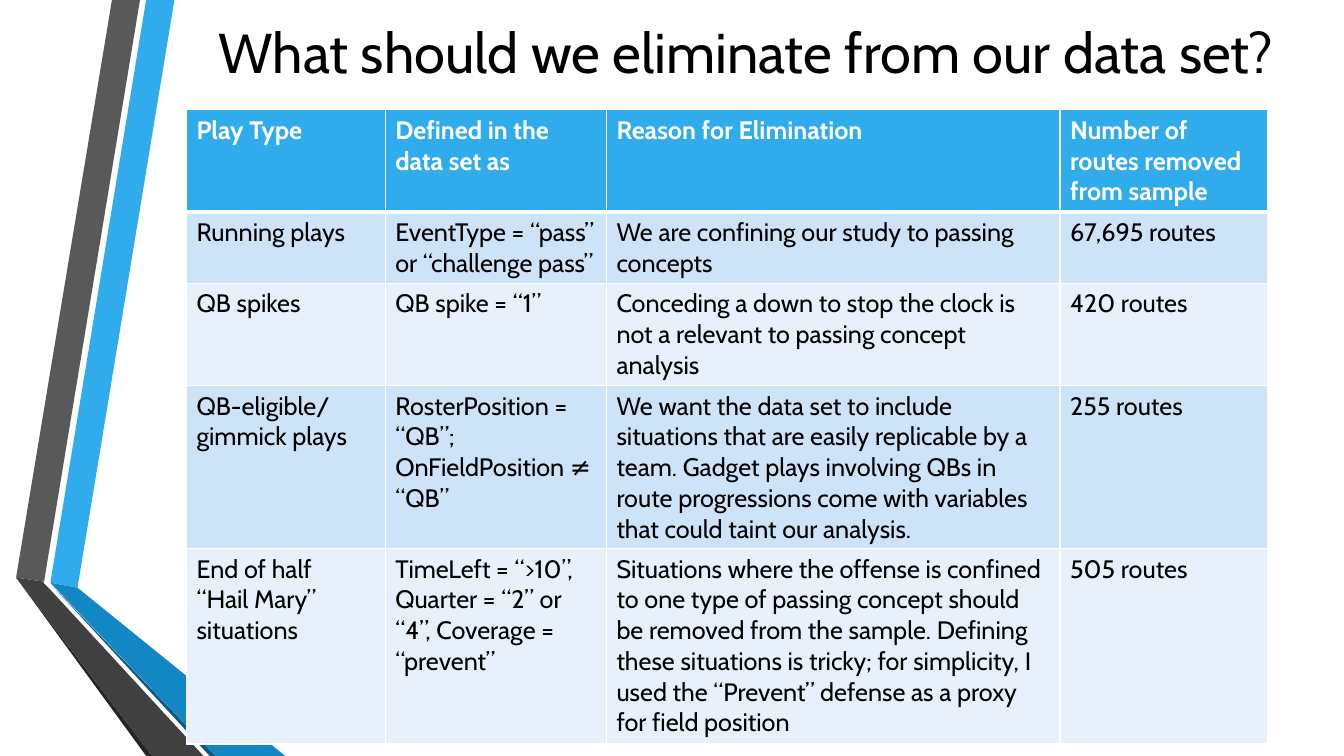
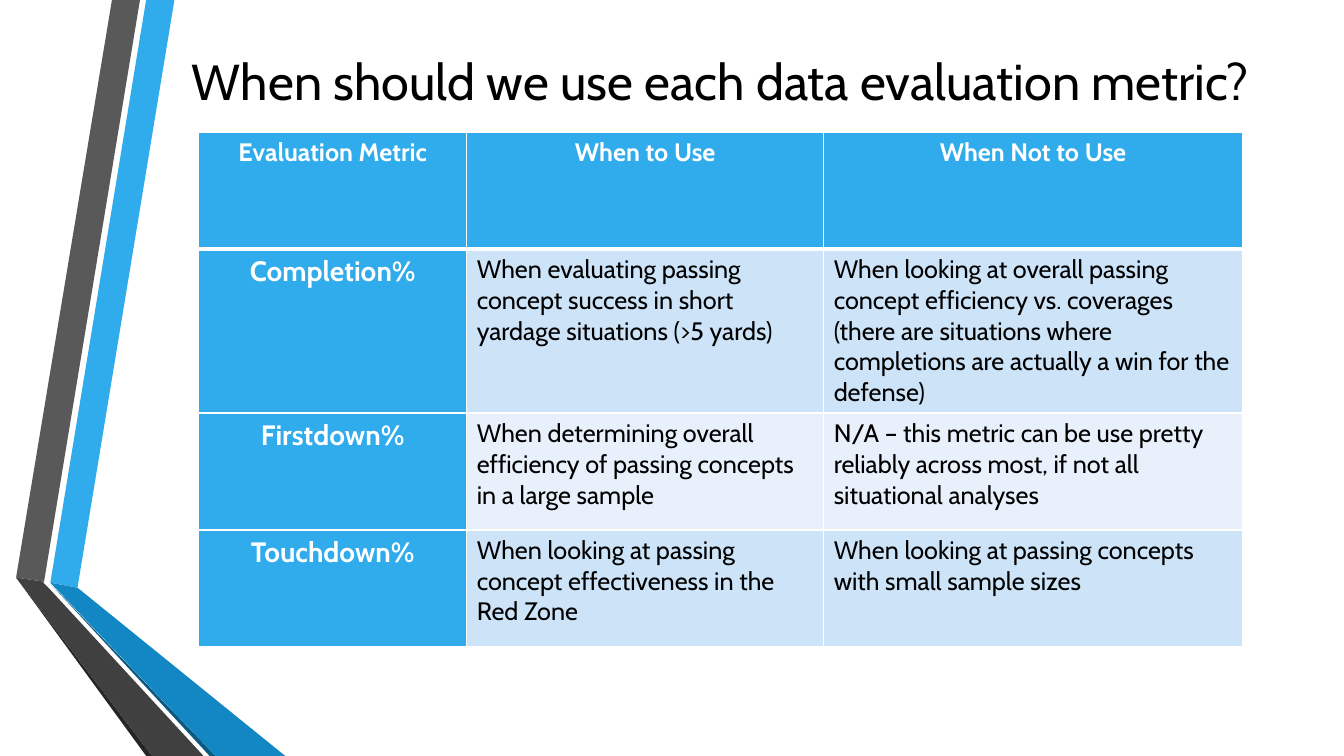
from lxml import etree
from pptx import Presentation
from pptx import util as u
from pptx.dml.color import RGBColor
from pptx.enum import text
from pptx.oxml import ns

# Shared style
COLORS = {
    "blue": "30ACEC", "deep_blue": "1287C3", "navy": "0C5A82",
    "gray": "595959", "dark_gray": "404040", "charcoal": "262626",
    "band_dark": "CDE3F8", "band_light": "E8F1FB",
    "white": "FFFFFF", "black": "000000",
}
FONT = "Cabin"
RIBBONS = [
    ("blue", [(36, 416.2), (55.4, 419.8), (124.6, 0), (104.4, 0)]),
    ("gray", [(100, 0), (80, 0), (11.5, 412.6), (31.5, 415.5)]),
    ("charcoal", [(11.5, 412.6), (104.4, 540), (108.7, 540)]),
    ("navy", [(36, 416.9), (149.8, 540), (154.1, 540)]),
    ("deep_blue", [(36, 416.2), (154.1, 540), (203.8, 540), (55.4, 419.8)]),
    ("dark_gray", [(145.4, 540), (34.6, 419.8), (31, 416.2), (31.5, 415.5),
                   (11.5, 412.6), (108.7, 540)]),
]


class Deck:
    def __init__(self):
        self.prs = Presentation()
        self.prs.slide_width, self.prs.slide_height = u.Pt(960), u.Pt(540)
        self.slide = None

    def rgb(self, color):
        return RGBColor.from_string(COLORS[color])

    def new_slide(self):
        self.slide = self.prs.slides.add_slide(self.prs.slide_layouts[6])
        for color, points in RIBBONS:
            self.ribbon(color, points)

    def ribbon(self, color, points):
        start, *rest = [(u.Pt(x), u.Pt(y)) for x, y in points]
        builder = self.slide.shapes.build_freeform(*start)
        builder.add_line_segments(rest, close=True)
        outline = builder.convert_to_shape()
        outline.shadow.inherit = False
        outline.fill.solid()
        outline.fill.fore_color.rgb = self.rgb(color)
        outline.line.fill.background()

    def set_words(self, frame, words, size, color="black", bold=False,
                  centered=False):
        frame.text = words
        for paragraph in frame.paragraphs:
            font = paragraph.font
            font.name, font.size, font.bold = FONT, u.Pt(size), bold
            font.color.rgb = self.rgb(color)
            paragraph.alignment = (text.PP_ALIGN.CENTER if centered
                                   else text.PP_ALIGN.LEFT)

    def title(self, words, left, top, size):
        box = self.slide.shapes.add_textbox(
            u.Pt(left), u.Pt(top), u.Pt(789), u.Pt(73.5))
        box.text_frame.word_wrap = True
        box.text_frame.vertical_anchor = text.MSO_ANCHOR.MIDDLE
        self.set_words(box.text_frame, words, size, centered=True)

    def borders(self, cell, row):
        # The rule under the header row is thicker than the rest
        widths = {"lnL": 1, "lnR": 1, "lnT": 3 if row == 1 else 1,
                  "lnB": 3 if row == 0 else 1}
        properties = cell._tc.get_or_add_tcPr()
        for side, width in widths.items():
            line = etree.SubElement(properties, ns.qn("a:" + side), w=str(u.Pt(width)))
            fill = etree.SubElement(line, ns.qn("a:solidFill"))
            etree.SubElement(fill, ns.qn("a:srgbClr"), val=COLORS["white"])

    def table(self, left, top, widths, heights, rows,
              label_column=False, centered_header=False):
        grid = self.slide.shapes.add_table(
            len(rows), len(widths), u.Pt(left), u.Pt(top),
            u.Pt(sum(widths)), u.Pt(sum(heights))).table
        for column, width in zip(grid.columns, widths):
            column.width = u.Pt(width)
        for r, (height, entries) in enumerate(zip(heights, rows)):
            grid.rows[r].height = u.Pt(height)
            for c, words in enumerate(entries):
                cell = grid.cell(r, c)
                header, label = r == 0, label_column and r > 0 and c == 0
                strong = header or label
                self.borders(cell, r)
                cell.fill.solid()
                cell.fill.fore_color.rgb = self.rgb(
                    "blue" if strong else "band_dark" if r % 2 else "band_light")
                self.set_words(cell.text_frame, words, 20 if label else 18,
                               "white" if strong else "black", strong,
                               label or (header and centered_header))


deck = Deck()

# Slide 1: plays removed from the sample
deck.new_slide()
deck.title("What should we eliminate from our data set?", 138.2, 0, 40)
deck.table(133.2, 78.5, [142, 158, 324, 148], [73, 51, 73, 116.5, 139.5], [
    ["Play Type", "Defined in the data set as", "Reason for Elimination",
     "Number of routes removed from sample"],
    ["Running plays", "EventType = “pass” or “challenge pass”",
     "We are confining our study to passing concepts", "67,695 routes"],
    ["QB spikes", "QB spike = “1”",
     "Conceding a down to stop the clock is not a relevant to passing concept "
     "analysis", "420 routes"],
    ["QB-eligible/gimmick plays",
     "RosterPosition = “QB”; OnFieldPosition ≠ “QB”",
     "We want the data set to include situations that are easily replicable by a "
     "team. Gadget plays involving QBs in route progressions come with variables "
     "that could taint our analysis.", "255 routes"],
    ["End of half\n“Hail Mary” situations",
     "TimeLeft = “>10”, Quarter = “2” or “4”, Coverage = “prevent”",
     "Situations where the offense is confined to one type of passing concept "
     "should be removed from the sample. Defining these situations is tricky; for "
     "simplicity, I used the “Prevent” defense as a proxy for field position",
     "505 routes"],
])

# Slide 2: choice of metric
deck.new_slide()
deck.title("When should we use each data evaluation metric?", 120.2, 20.9, 36)
deck.table(141.9, 94.6, [191.5, 255, 299], [83.5, 117, 83.5, 83.5], [
    ["Evaluation Metric", "When to Use", "When Not to Use"],
    ["Completion%",
     "When evaluating passing concept success in short yardage situations "
     "(>5 yards)",
     "When looking at overall passing concept efficiency vs. coverages (there are "
     "situations where completions are actually a win for the defense)"],
    ["Firstdown%",
     "When determining overall efficiency of passing concepts in a large sample",
     "N/A – this metric can be use pretty reliably across most, if not all "
     "situational analyses"],
    ["Touchdown%",
     "When looking at passing concept effectiveness in the Red Zone",
     "When looking at passing concepts with small sample sizes"],
], label_column=True, centered_header=True)

deck.prs.save("out.pptx")
